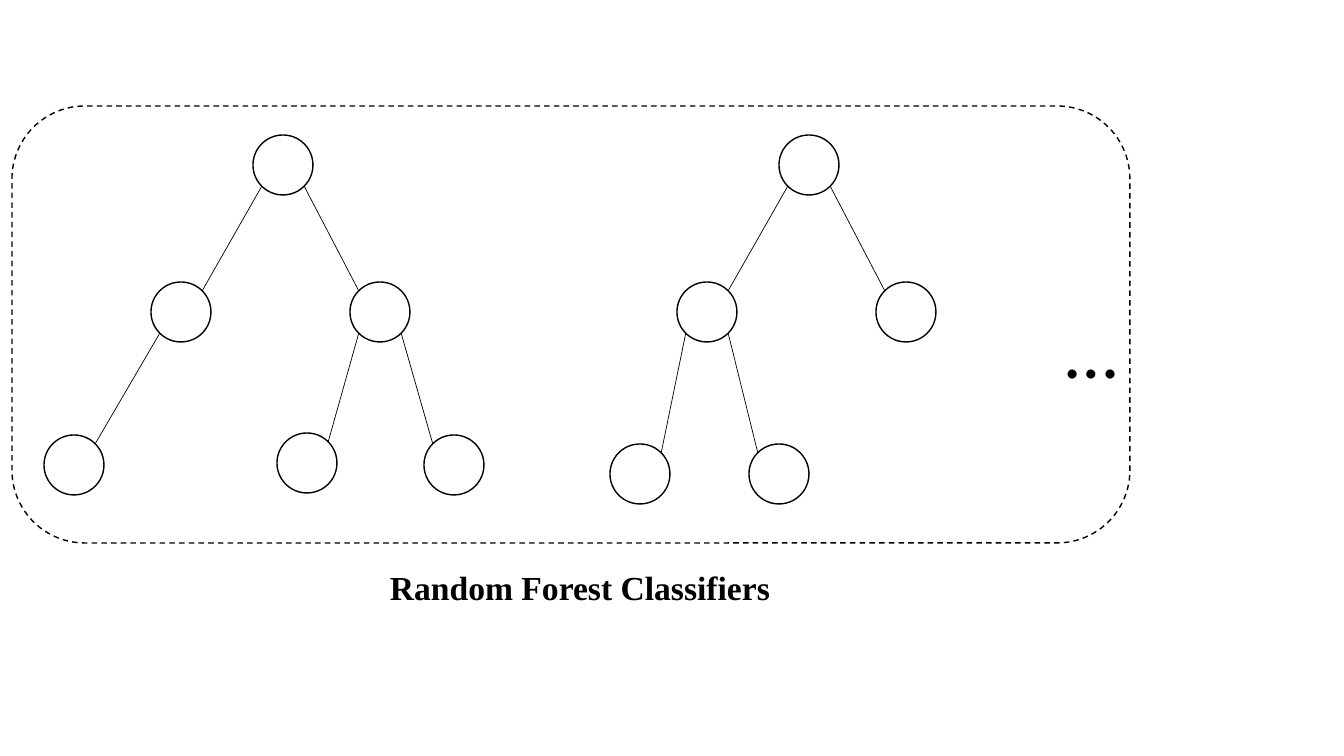
"""Build a slide that shows a random forest as trees in a dashed panel."""
from math import sqrt

from pptx import Presentation
from pptx.dml.color import RGBColor as Rgb
from pptx.enum.dml import MSO_LINE as Dash
from pptx.enum.shapes import MSO_CONNECTOR as Link, MSO_SHAPE as Kind
from pptx.enum.text import MSO_AUTO_SIZE as Fit
from pptx.oxml.ns import qn
from pptx.util import Emu, Pt

PX = 914400 / 100.8
HUES = {"ink": "000000", "paper": "FFFFFF"}
NODE = 60
ROOT_Y = 59
LEVEL = 147

LEFT_TREE = [
    (-102, LEVEL, [(-107, 153, [])]),
    (97, LEVEL, [(-73, 151, []), (74, 153, [])]),
]
RIGHT_TREE = [
    (-102, LEVEL, [(-67, 162, []), (72, 162, [])]),
    (97, LEVEL, []),
]


def px(*sizes):
    """Turn pixels into EMU."""
    return [Emu(round(size * PX)) for size in sizes]


def hue(name):
    """Look up a named colour."""
    return Rgb.from_string(HUES[name])


def add_form(slide, kind, box):
    """Add a paper-filled outline shape."""
    form = slide.shapes.add_shape(kind, *px(*box))
    form.shadow.inherit = False
    form.fill.solid()
    form.fill.fore_color.rgb = hue("paper")
    form.line.color.rgb = hue("ink")
    form.line.width = Pt(1)
    return form


def add_edge(slide, start, end):
    """Add a thin line between two points."""
    edge = slide.shapes.add_connector(Link.STRAIGHT, *px(*start, *end))
    edge.line.color.rgb = hue("ink")
    edge.line.width = Pt(0.5)
    props = edge._element.spPr
    props.append(props.makeelement(qn("a:effectLst"), {}))


def add_text(slide, text, box, size, font, bold=False):
    """Add one line of text that does not wrap."""
    frame = slide.shapes.add_textbox(*px(*box)).text_frame
    frame.word_wrap = False
    frame.auto_size = Fit.SHAPE_TO_FIT_TEXT
    run = frame.paragraphs[0].add_run()
    run.text = text
    run.font.size = Pt(size)
    run.font.name = font
    run.font.bold = bold
    run.font.color.rgb = hue("ink")


def add_tree(slide, x, y, kids):
    """Add a node centred at x, y and the branches below it."""
    half = NODE / 2
    add_form(slide, Kind.OVAL, (x - half, y - half, NODE, NODE))
    reach = half / sqrt(2)
    for dx, dy, below in kids:
        side = reach if dx > 0 else -reach
        add_tree(slide, x + dx, y + dy, below)
        add_edge(slide, (x + side, y + reach),
                 (x + dx - side, y + dy - reach))


def add_forest(slide, box):
    """Add the dashed panel, its trees and the ellipsis."""
    left, top, wide, high = box
    panel = add_form(slide, Kind.ROUNDED_RECTANGLE, box)
    panel.line.dash_style = Dash.DASH
    for x, kids in ((271, LEFT_TREE), (797, RIGHT_TREE)):
        add_tree(slide, left + x, top + ROOT_Y, kids)
    add_text(slide, "…", (left + wide - 74, top + 192, 73, 102),
             size=54, font="Calibri")


def main():
    """Build and save the slide."""
    deck = Presentation()
    deck.slide_width, deck.slide_height = px(1344, 756)
    slide = deck.slides.add_slide(deck.slide_layouts[6])
    add_forest(slide, (12, 106, 1118, 437))
    add_text(slide, "Random Forest Classifiers", (380, 562, 404, 50),
             size=24, font="Times New Roman", bold=True)
    deck.save("out.pptx")


main()
